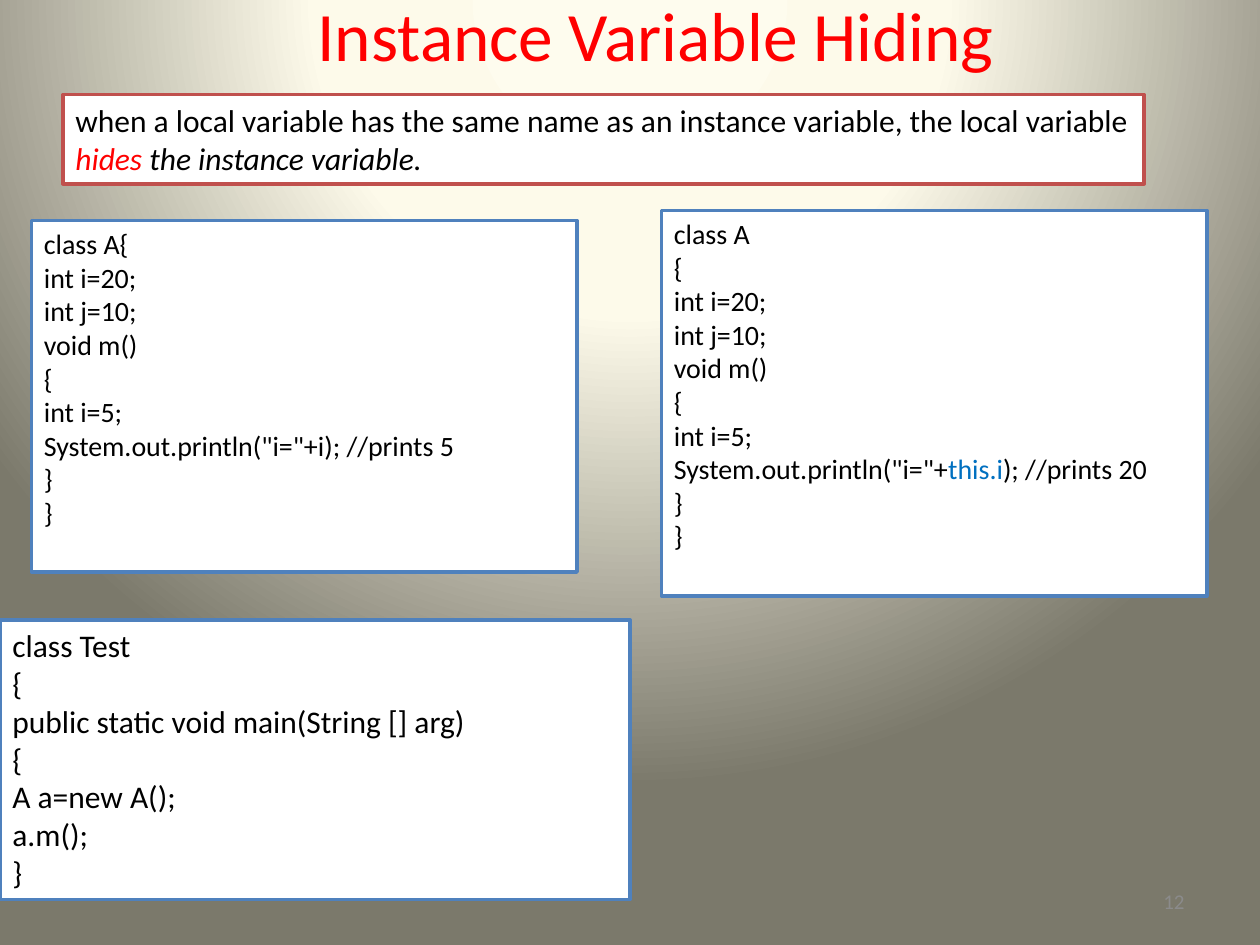
from lxml.etree import SubElement
from pptx import Presentation
from pptx.dml.color import RGBColor
from pptx.enum.shapes import MSO_SHAPE
from pptx.enum.text import MSO_ANCHOR, MSO_AUTO_SIZE, PP_ALIGN
from pptx.oxml import parse_xml
from pptx.oxml.ns import nsdecls, qn
from pptx.util import Inches, Pt

THEME = {
    "font": "Calibri",
    "text": "000000", "accent": "FF0000", "keyword": "0070C0", "number": "8B8B8B",
    "box": "FFFFFF", "note_line": "C0504D", "code_line": "4F81BD",
    "background": [(0, "FEFCEE"), (40, "FDFAEA"), (100, "7B796B")],
    "title_size": 39.6, "large_size": 18, "code_size": 16, "number_size": 12,
}


def add_run(paragraph, text, size, color="text", italic=False):
    run = paragraph.add_run()
    run.text = text
    formats = {"name": THEME["font"], "size": Pt(size), "italic": italic}
    for attribute, value in formats.items():
        setattr(run.font, attribute, value)
    run.font.color.rgb = RGBColor.from_string(THEME[color])
    return run


def add_box(slide, position, line_color, size, lines):
    box = slide.shapes.add_shape(MSO_SHAPE.RECTANGLE, *map(Inches, position))
    box.shadow.inherit = False
    box.fill.solid()
    box.fill.fore_color.rgb = RGBColor.from_string(THEME["box"])
    box.line.color.rgb = RGBColor.from_string(THEME[line_color])
    box.line.width = Pt(2)
    frame = box.text_frame
    formats = {"word_wrap": True, "auto_size": MSO_AUTO_SIZE.NONE,
               "vertical_anchor": MSO_ANCHOR.TOP}
    for attribute, value in formats.items():
        setattr(frame, attribute, value)
    for index, line in enumerate(lines):
        paragraph = frame.add_paragraph() if index else frame.paragraphs[0]
        paragraph.alignment = PP_ALIGN.LEFT
        parts = [(line,)] if isinstance(line, str) else line
        for text, *style in parts:
            add_run(paragraph, text, size, *style)


prs = Presentation()
prs.slide_width, prs.slide_height = Inches(10), Inches(7.5)
slide = prs.slides.add_slide(prs.slide_layouts[5])

# Radial background
stops = "".join(f'<a:gs pos="{pos * 1000}"><a:srgbClr val="{color}"/></a:gs>'
                for pos, color in THEME["background"])
slide.element.cSld.insert(0, parse_xml(
    f'<p:bg {nsdecls("p", "a")}><p:bgPr><a:gradFill><a:gsLst>{stops}</a:gsLst>'
    '<a:path path="circle"><a:fillToRect l="50000" t="-80000" r="50000" b="180000"/></a:path>'
    '</a:gradFill><a:effectLst/></p:bgPr></p:bg>'))

# Title with a soft shadow
title = slide.shapes.title
placement = {"left": 2.08, "top": 0, "width": 6.25, "height": 0.53}
for attribute, value in placement.items():
    setattr(title, attribute, Inches(value))
title.text_frame.auto_size = MSO_AUTO_SIZE.NONE
title.text_frame.vertical_anchor = MSO_ANCHOR.MIDDLE
heading = title.text_frame.paragraphs[0]
heading.alignment = PP_ALIGN.CENTER
heading_run = add_run(heading, "Instance Variable Hiding", THEME["title_size"], "accent")
effects = parse_xml(f'<a:effectLst {nsdecls("a")}/>')
shadow = SubElement(effects, qn("a:outerShdw"), blurRad="38100", dist="38100", dir="2700000")
shadow_color = SubElement(shadow, qn("a:srgbClr"), val="000000")
SubElement(shadow_color, qn("a:alpha"), val="43000")
heading_run.font._element.find(qn("a:solidFill")).addnext(effects)

# Definition
add_box(slide, (0.5, 0.75, 8.58, 0.71), "note_line", THEME["large_size"], [[
    ("when a local variable has the same name as an instance variable, the local variable ",),
    ("hides", "accent", True),
    (" the instance variable.", "text", True),
]])

# Class A, with the field hidden and then reached through this
fields_and_method = ["int i=20;", "int j=10;", "void m()", "{", "int i=5;"]
add_box(slide, (0.25, 1.75, 4.33, 2.79), "code_line", THEME["code_size"], [
    "class A{", *fields_and_method,
    'System.out.println("i="+i); //prints 5', "}", "}"])
add_box(slide, (5.25, 1.67, 4.33, 3.06), "code_line", THEME["code_size"], [
    "class A", "{", *fields_and_method,
    [('System.out.println("i="+',), ("this.i", "keyword"), ("); //prints 20",)], "}", "}"])

# Test class
add_box(slide, (0, 4.92, 5, 2.22), "code_line", THEME["large_size"], [
    "class Test", "{", "public static void main(String [] arg)", "{",
    "A a=new A();", "a.m();", "}"])

# Slide number
number = slide.shapes.add_textbox(Inches(7.17), Inches(6.95), Inches(2.33), Inches(0.4))
number.text_frame.word_wrap = True
number.text_frame.vertical_anchor = MSO_ANCHOR.MIDDLE
number_line = number.text_frame.paragraphs[0]
number_line.alignment = PP_ALIGN.RIGHT
add_run(number_line, "12", THEME["number_size"], "number")

prs.save("out.pptx")
